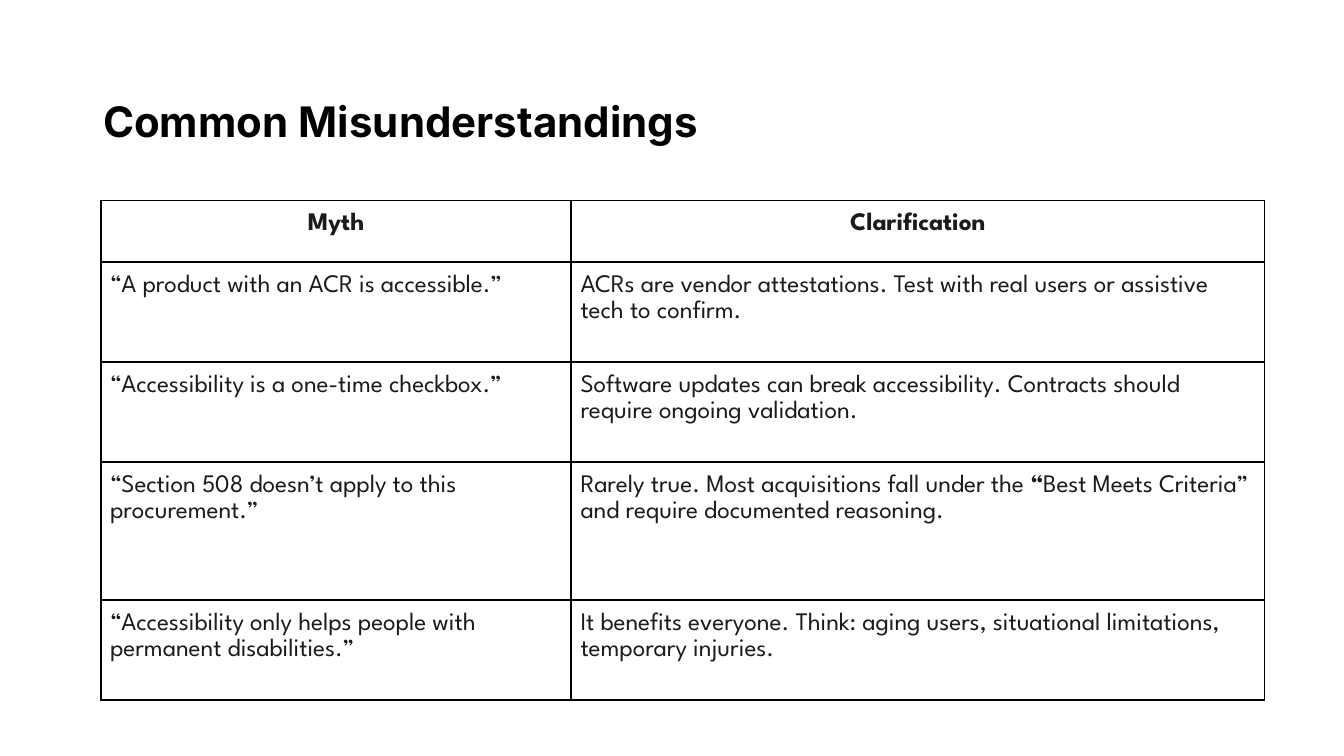
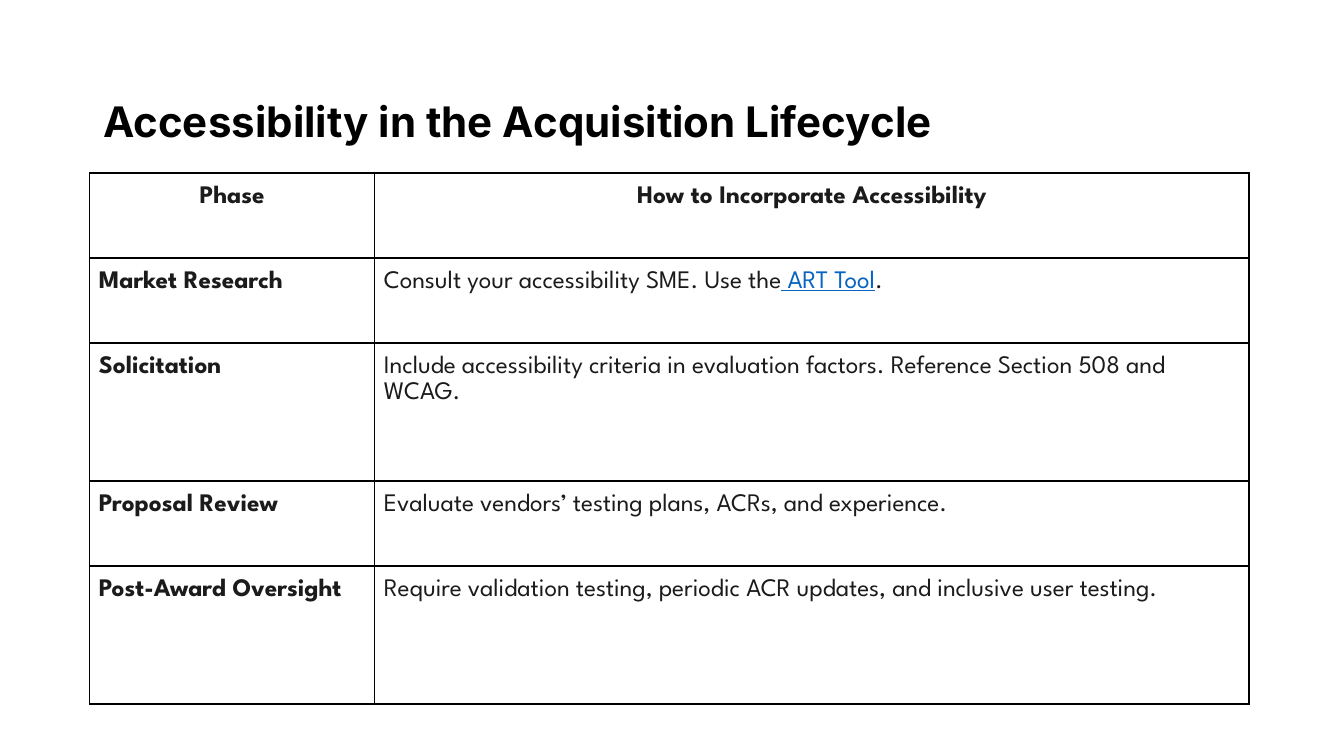
from dataclasses import dataclass

import pptx
import pptx.dml.color
import pptx.enum.text
import pptx.oxml
import pptx.oxml.ns
import pptx.util

Pt = pptx.util.Pt
Align = pptx.enum.text.PP_ALIGN
Anchor = pptx.enum.text.MSO_ANCHOR


@dataclass(frozen=True)
class Theme:
    black: str = "000000"
    ink: str = "1B1B1B"
    link: str = "0563C1"
    head: str = "Inter"
    body: str = "League Spartan"
    large: float = 22.5
    small: float = 13.5
    rule: float = 1
    pad: float = 5


THEME = Theme()

MYTHS = [
    ("Myth", "Clarification"),
    ("“A product with an ACR is accessible.”",
     "ACRs are vendor attestations. Test with real users or assistive tech to confirm."),
    ("“Accessibility is a one-time checkbox.”",
     "Software updates can break accessibility. Contracts should require ongoing validation."),
    ("“Section 508 doesn’t apply to this procurement.”",
     [("Rarely true. Most acquisitions fall under the ", ""),
      ("“", "bold"),
      ("Best Meets Criteria” and require documented reasoning.", "")]),
    ("“Accessibility only helps people with permanent disabilities.”",
     "It benefits everyone. Think: aging users, situational limitations, temporary injuries."),
]

PHASES = [
    ("Phase", "How to Incorporate Accessibility"),
    ("Market Research",
     [("Consult your accessibility SME. Use the", ""),
      (" ART Tool", "link"),
      (".", "")]),
    ("Solicitation",
     "Include accessibility criteria in evaluation factors. Reference Section 508 and WCAG."),
    ("Proposal Review", "Evaluate vendors’ testing plans, ACRs, and experience."),
    ("Post-Award Oversight",
     "Require validation testing, periodic ACR updates, and inclusive user testing."),
]


def add_run(para, text, face, size, color, bold=False, under=False):
    run = para.add_run()
    run.text = text
    font = run.font
    font.name = face
    font.size = Pt(size)
    font.bold = bold
    font.underline = under
    font.color.rgb = pptx.dml.color.RGBColor.from_string(color)


def set_pads(frame, side, end):
    frame.margin_left = frame.margin_right = Pt(side)
    frame.margin_top = frame.margin_bottom = Pt(end)


def add_title(slide, text, width):
    title = slide.shapes.title
    title.left, title.top = Pt(48), Pt(48)
    title.width, title.height = Pt(width), Pt(27.5)
    frame = title.text_frame
    frame.word_wrap = True
    frame.auto_size = pptx.enum.text.MSO_AUTO_SIZE.NONE
    frame.vertical_anchor = Anchor.MIDDLE
    set_pads(frame, 7.2, 3.6)
    para = frame.paragraphs[0]
    para.alignment = Align.LEFT
    para.line_spacing = 1.2
    add_run(para, text, THEME.head, THEME.large, THEME.black, bold=True)


def add_edges(cell):
    props = cell._tc.get_or_add_tcPr()
    space = pptx.oxml.ns.nsdecls("a")
    for spot, side in enumerate("LRTB"):
        edge = pptx.oxml.parse_xml(
            f'<a:ln{side} {space} w="{Pt(THEME.rule)}"><a:solidFill>'
            f'<a:srgbClr val="{THEME.black}"/></a:solidFill></a:ln{side}>')
        props.insert(spot, edge)


def fill_cell(cell, text, bold, align):
    cell.fill.background()
    cell.vertical_anchor = Anchor.TOP
    set_pads(cell, THEME.pad, THEME.pad)
    add_edges(cell)
    para = cell.text_frame.paragraphs[0]
    para.alignment = align
    para.line_spacing = 1.15
    parts = [(text, "")] if isinstance(text, str) else text
    for part, style in parts:
        link = style == "link"
        add_run(para, part, THEME.body, THEME.small,
                THEME.link if link else THEME.ink,
                bold or style == "bold", link)


def add_grid(slide, data, left, top, widths, heights, lead=False):
    frame = slide.shapes.add_table(
        len(data), len(widths), Pt(left), Pt(top),
        Pt(sum(widths)), Pt(sum(heights)))
    table = frame.table
    table.first_row = table.horz_banding = False
    for col, width in zip(table.columns, widths):
        col.width = Pt(width)
    for row, height in zip(table.rows, heights):
        row.height = Pt(height)
    for r, line in enumerate(data):
        for c, text in enumerate(line):
            fill_cell(table.cell(r, c), text, r == 0 or (lead and c == 0),
                      Align.CENTER if r == 0 else Align.LEFT)


def main():
    deck = pptx.Presentation()
    deck.slide_width, deck.slide_height = Pt(720), Pt(405)
    layout = deck.slide_layouts.get_by_name("Title Only")

    slide = deck.slides.add_slide(layout)
    add_title(slide, "Common Misunderstandings", 512.5)
    add_grid(slide, MYTHS, 54, 107.5, (252, 371.5),
             (33, 53.5, 53.5, 74, 53.5))

    slide = deck.slides.add_slide(layout)
    add_title(slide, "Accessibility in the Acquisition Lifecycle", 540.5)
    add_grid(slide, PHASES, 48, 92.75, (152.75, 468.5),
             (45.5, 45.5, 74, 45.5, 74), lead=True)

    deck.save("out.pptx")


if __name__ == "__main__":
    main()
